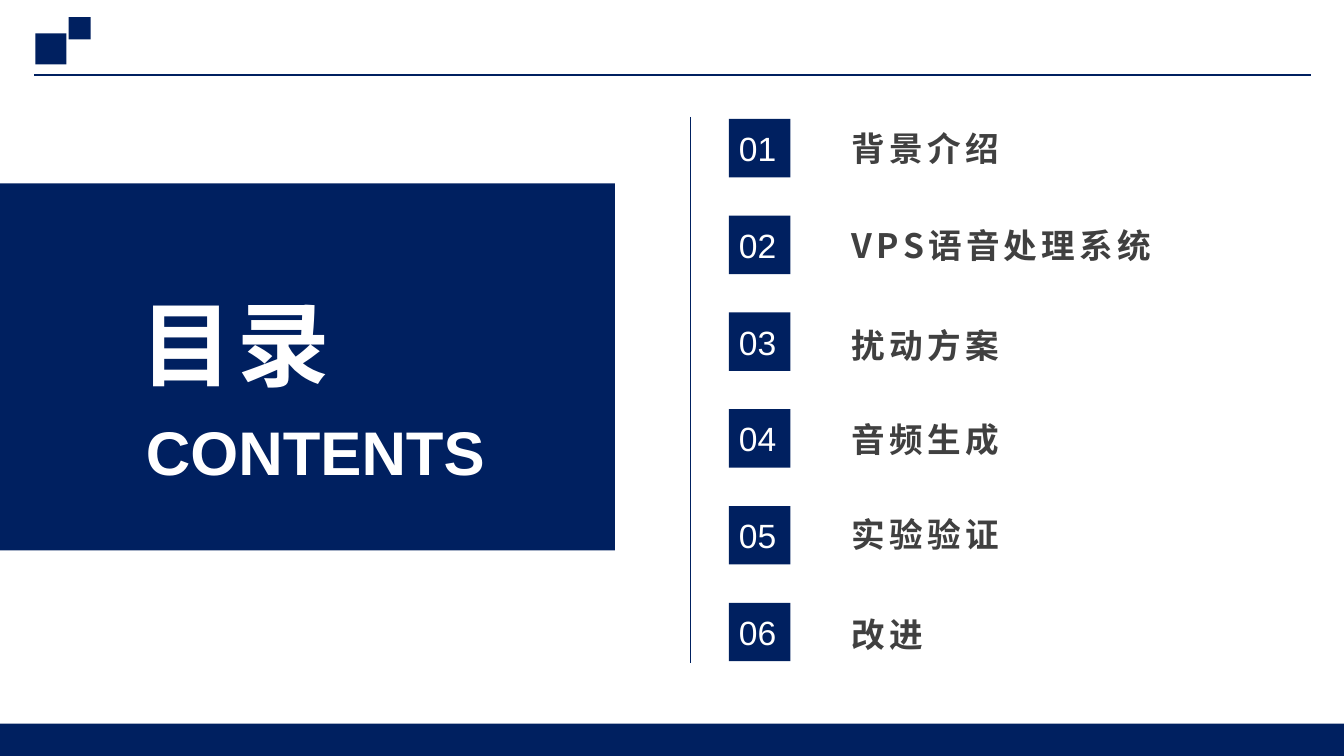
from lxml import etree
from pptx import Presentation
from pptx.dml.color import RGBColor
from pptx.enum.shapes import MSO_CONNECTOR, MSO_SHAPE
from pptx.enum.text import MSO_ANCHOR, PP_ALIGN
from pptx.oxml.ns import qn
from pptx.util import Inches, Pt

RECTANGLE = MSO_SHAPE.RECTANGLE
STRAIGHT = MSO_CONNECTOR.STRAIGHT
MIDDLE, TOP = MSO_ANCHOR.MIDDLE, MSO_ANCHOR.TOP
CENTER, LEFT = PP_ALIGN.CENTER, PP_ALIGN.LEFT

NAVY, WHITE, GRAY = "002060", "FFFFFF", "404040"
LATIN_FONT, CHINESE_FONT = "Arial", "Noto Sans CJK SC"
ROW_PITCH = 0.96
# Each entry pairs its wording with the offset of its text from the row top.
ENTRIES = [
    ("背景介绍", 0.09),
    ("VPS语音处理系统", 0.09),
    ("扰动方案", 0.12),
    ("音频生成", 0.10),
    ("实验验证", 0.08),
    ("改进", 0.11),
]


def color(hex_string):
    """Return the colour for a hex string."""
    return RGBColor.from_string(hex_string)


def add_block(slide, left, top, width, height):
    """Add a plain navy rectangle."""
    shape = slide.shapes.add_shape(
        RECTANGLE, Inches(left), Inches(top), Inches(width), Inches(height))
    shape.shadow.inherit = False
    shape.fill.solid()
    shape.fill.fore_color.rgb = color(NAVY)
    shape.line.fill.background()


def add_rule(slide, start, end, weight):
    """Add a straight navy line without a shadow."""
    line = slide.shapes.add_connector(
        STRAIGHT, *(Inches(value) for value in (*start, *end)))
    line.line.color.rgb = color(NAVY)
    line.line.width = Pt(weight)
    etree.SubElement(line.element.spPr, qn("a:effectLst"))


def write_text(shape, text, size, font_name, text_color, bold=False,
               spacing=0, align=LEFT, anchor=TOP, margins=True, wrap=True):
    """Fill a shape with one formatted paragraph."""
    frame = shape.text_frame
    frame.text = text
    frame.word_wrap = wrap
    frame.vertical_anchor = anchor
    if not margins:
        frame.margin_left = frame.margin_right = 0
        frame.margin_top = frame.margin_bottom = 0
    paragraph = frame.paragraphs[0]
    paragraph.alignment = align
    paragraph.line_spacing = 1.0
    run = paragraph.runs[0]
    run.font.size = Pt(size)
    run.font.bold = bold
    run.font.name = font_name
    run.font.color.rgb = color(text_color)
    properties = run.font._element
    properties.set("spc", str(spacing * 100))
    east_asian = etree.SubElement(properties, qn("a:ea"))
    east_asian.set("typeface", CHINESE_FONT)
    return paragraph


def add_text(slide, left, top, width, height, *content, **formatting):
    """Add a text box and return its paragraph."""
    box = slide.shapes.add_textbox(
        Inches(left), Inches(top), Inches(width), Inches(height))
    return write_text(box, *content, **formatting)


def add_frame(slide, width, height):
    """Add the header ornament with its rule and the footer band."""
    add_rule(slide, (0.34, 0.74), (width - 0.33, 0.74), 1.5)
    add_block(slide, 0.35, 0.33, 0.31, 0.31)
    add_block(slide, 0.68, 0.17, 0.22, 0.22)
    add_block(slide, 0, height - 0.32, width, 0.32)


def add_title_panel(slide, left, top, width, height):
    """Add the navy panel that holds the title and its translation."""
    add_block(slide, left, top, width, height)
    title = slide.shapes.title
    title.left, title.top = Inches(left + 0.84), Inches(top + 1.02)
    title.width, title.height = Inches(2.99), Inches(1.11)
    title.element.getparent().append(title.element)
    write_text(title, "目录", 66, LATIN_FONT, WHITE, bold=True, spacing=3,
               align=CENTER, anchor=MIDDLE, margins=False)
    subtitle = add_text(slide, left + 1.35, top + 2.09, 3.66, 0.91,
                        "CONTENTS", 44, LATIN_FONT, WHITE, bold=True)
    subtitle.line_spacing = 1.2


def add_contents(slide, left, top, height):
    """Add the divider and the numbered list of entries."""
    add_rule(slide, (left, top), (left, top + height), 0.5)
    for index, (entry, offset) in enumerate(ENTRIES):
        row_top = top + 0.02 + index * ROW_PITCH
        add_block(slide, left + 0.38, row_top, 0.61, 0.58)
        add_text(slide, left + 0.38, row_top + 0.04, 0.58, 0.5,
                 f"{index + 1:02}", 24, LATIN_FONT, WHITE, wrap=False)
        add_text(slide, left + 1.6, row_top + offset, 3.11, 0.4,
                 entry, 24, CHINESE_FONT, GRAY, bold=True, spacing=3,
                 anchor=MIDDLE, margins=False)


def main():
    """Build and save the contents slide."""
    width, height = 13.33, 7.5
    presentation = Presentation()
    presentation.slide_width = Inches(width)
    presentation.slide_height = Inches(height)
    slide = presentation.slides.add_slide(presentation.slide_layouts[5])
    add_frame(slide, width, height)
    add_title_panel(slide, 0, 1.82, 6.1, 3.64)
    add_contents(slide, 6.85, 1.16, 5.42)
    presentation.save("out.pptx")


if __name__ == "__main__":
    main()
